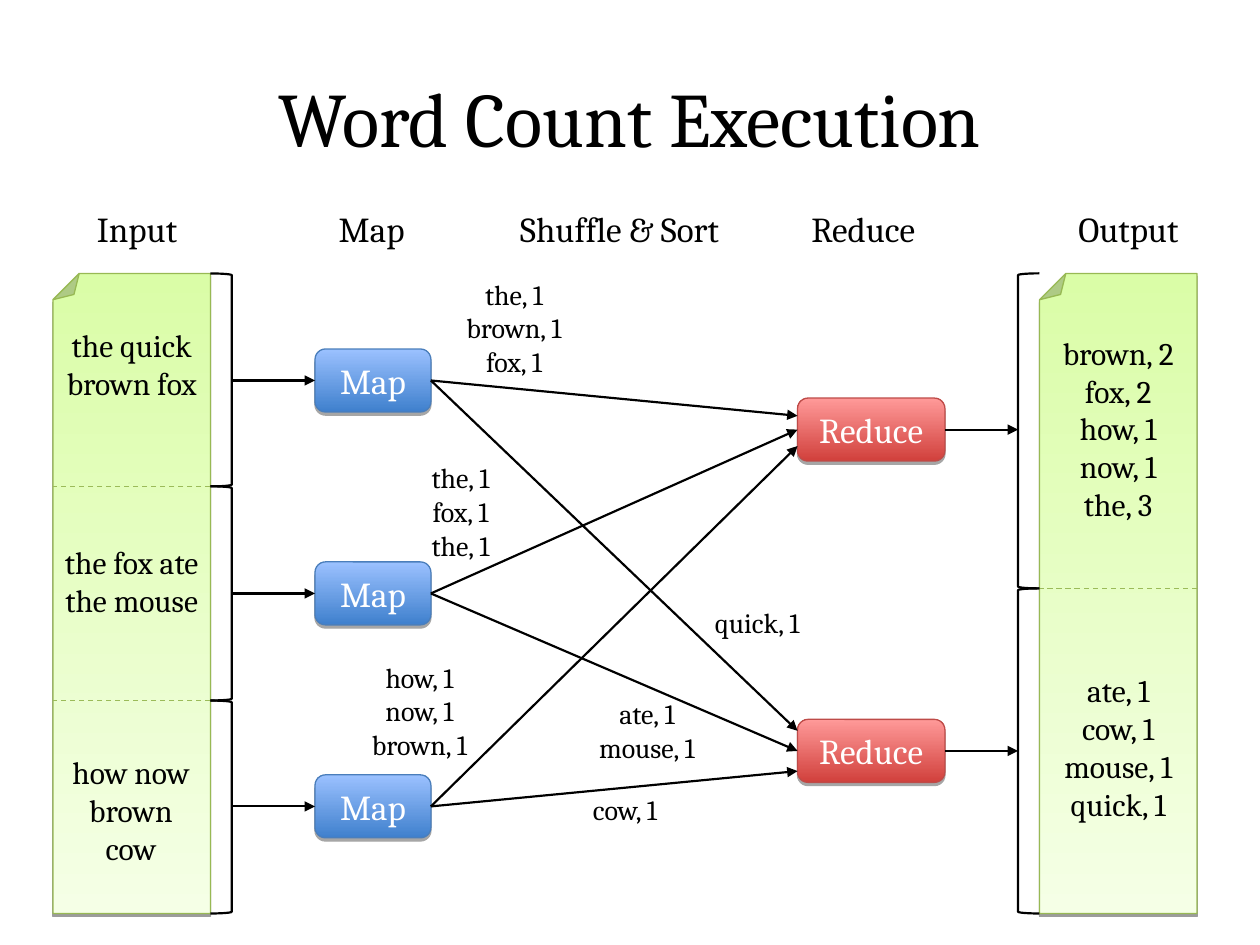
from dataclasses import dataclass
from itertools import pairwise

from lxml import etree
from pptx import Presentation
from pptx.dml.color import RGBColor
from pptx.enum import dml, shapes, text
from pptx.oxml import ns
from pptx.util import Inches, Pt

HUES = {
    "ink": "000000", "white": "FFFFFF", "dash": "9BBB59",
    "page_a": "DAFDA7", "page_b": "F5FFE6", "page_rim": "98B954",
    "map_a": "3F80CD", "map_b": "9BC1FF", "map_rim": "4A7EBB",
    "red_a": "D1403C", "red_b": "FF9A99", "red_rim": "BE4B48",
}
FONT = "Cambria"
KIND = shapes.MSO_SHAPE
TOP, END = 2.17, 7.25
PAGE, GAP = 1.25, 0.17


@dataclass
class Note:
    words: str
    x: float
    y: float
    w: float
    h: float


@dataclass
class Node:
    name: str
    hue: str
    x: float
    y: float
    w: float
    h: float = 0.5

    @property
    def mid(self) -> float:
        return self.y + self.h / 2

    @property
    def right(self) -> float:
        return self.x + self.w


@dataclass
class Sheet:
    x: float
    cuts: list[float]
    side: object
    edge: float


INPUT = Sheet(0.42, [TOP, 3.86, 5.56, END], KIND.RIGHT_BRACKET, 1.67)
OUTPUT = Sheet(8.25, [TOP, 4.67, END], KIND.LEFT_BRACKET, 8.08)
MAPS = [Node("Map", "map", 2.5, 2.77 + 1.69 * i, 0.92) for i in range(3)]
REDS = [Node("Reduce", "red", 6.33, y, 1.17) for y in (3.16, 5.71)]
FLOWS = [(0, 3.3), (0, 5.8), (2, 3.54), (1, 5.96), (1, 3.41), (2, 6.12)]

HEADS = [
    Note("Input", 0.67, 1.6, 0.88, 0.44),
    Note("Map", 2.59, 1.6, 0.77, 0.44),
    Note("Shuffle & Sort", 4.03, 1.6, 1.91, 0.44),
    Note("Reduce", 6.34, 1.6, 1.11, 0.44),
    Note("Output", 8.46, 1.6, 1.1, 0.44),
]
BODIES = [
    Note("the quick\nbrown fox", 0.42, 2.54, 1.25, 1),
    Note("the fox ate the mouse", 0.39, 4.26, 1.31, 1),
    Note("how now\nbrown cow", 0.41, 5.93, 1.26, 1),
    Note("brown, 2\nfox, 2\nhow, 1\nnow, 1\nthe, 3", 8.25, 2.6, 1.25, 1.6),
    Note("ate, 1\ncow, 1\nmouse, 1\nquick, 1", 8.25, 5.28, 1.25, 1.3),
]
PAIRS = [
    Note("the, 1\nbrown, 1\nfox, 1", 3.55, 2.15, 1.06, 0.9),
    Note("quick, 1", 5.53, 4.76, 0.96, 0.37),
    Note("the, 1\nfox, 1\nthe, 1", 3.29, 3.61, 0.73, 0.9),
    Note("how, 1\nnow, 1\nbrown, 1", 2.8, 5.19, 1.06, 0.9),
    Note("ate, 1\nmouse, 1", 4.6, 5.48, 1.07, 0.64),
    Note("cow, 1", 4.55, 6.24, 0.82, 0.37),
]


def tint(name: str) -> RGBColor:
    return RGBColor.from_string(HUES[name])


def write(frame, words: str, *, size: int, hue: str = "ink", wrap: bool = True,
          align=text.PP_ALIGN.CENTER, anchor=text.MSO_ANCHOR.TOP,
          fit=text.MSO_AUTO_SIZE.NONE) -> None:
    frame.text = words
    frame.word_wrap = wrap
    frame.auto_size = fit
    frame.vertical_anchor = anchor
    for para in frame.paragraphs:
        para.alignment = align
        for run in para.runs:
            run.font.name = FONT
            run.font.size = Pt(size)
            run.font.color.rgb = tint(hue)


def label(tree, note: Note, **form) -> None:
    box = tree.add_textbox(*map(Inches, (note.x, note.y, note.w, note.h)))
    write(box.text_frame, note.words, **form)


def block(tree, kind, hue: str, x: float, y: float, w: float, h: float,
          alpha: int, drop: float):
    item = tree.add_shape(kind, *map(Inches, (x, y, w, h)))
    item.fill.gradient()
    item.fill.gradient_angle = 90
    for place, (stop, part) in enumerate(zip(item.fill.gradient_stops, "ab")):
        stop.color.rgb = tint(f"{hue}_{part}")
        stop.position = place
    item.line.color.rgb = tint(f"{hue}_rim")
    item.line.width = Pt(0.75)
    item.shadow.inherit = False
    glow = item._element.spPr.find(ns.qn("a:effectLst"))
    cast = etree.SubElement(glow, ns.qn("a:outerShdw"), blurRad="0",
                            dist=str(Pt(drop)), dir="5400000", rotWithShape="0")
    ink = etree.SubElement(cast, ns.qn("a:srgbClr"), val=HUES["ink"])
    etree.SubElement(ink, ns.qn("a:alpha"), val=str(alpha * 1000))
    return item


def link(tree, x: float, y: float, to_x: float, to_y: float, *,
         hue: str = "ink", width: float = 1.25, dash: bool = False) -> None:
    wire = tree.add_connector(shapes.MSO_CONNECTOR.STRAIGHT,
                              *map(Inches, (x, y, to_x, to_y)))
    wire.line.color.rgb = tint(hue)
    wire.line.width = Pt(width)
    if dash:
        wire.line.dash_style = dml.MSO_LINE.DASH
    else:
        line = wire._element.spPr.find(ns.qn("a:ln"))
        etree.SubElement(line, ns.qn("a:tailEnd"), type="triangle")
    etree.SubElement(wire._element.spPr, ns.qn("a:effectLst"))


def brace(tree, sheet: Sheet, y: float, end: float) -> None:
    item = tree.add_shape(sheet.side, *map(Inches, (sheet.edge, y, GAP, end - y)))
    item.fill.background()
    item.line.color.rgb = tint("ink")
    item.line.width = Pt(1.25)
    item.shadow.inherit = False


def paper(tree, sheet: Sheet) -> None:
    item = block(tree, KIND.FOLDED_CORNER, "page", sheet.x, TOP, PAGE, END - TOP,
                 38, 1.6)
    item.rotation = 180
    for y, end in pairwise(sheet.cuts):
        brace(tree, sheet, y, end)
    for y in sheet.cuts[1:-1]:
        link(tree, sheet.x + PAGE, y, sheet.x, y, hue="dash", width=0.75, dash=True)


def station(tree, node: Node) -> None:
    item = block(tree, KIND.ROUNDED_RECTANGLE, node.hue, node.x, node.y,
                 node.w, node.h, 35, 1.8)
    write(item.text_frame, node.name, size=20, hue="white",
          anchor=text.MSO_ANCHOR.MIDDLE)


def main() -> None:
    deck = Presentation()
    deck.slide_width, deck.slide_height = Inches(10), Inches(7.5)
    tree = deck.slides.add_slide(deck.slide_layouts[6]).shapes
    grow = text.MSO_AUTO_SIZE.SHAPE_TO_FIT_TEXT

    label(tree, Note("Word Count Execution", 0.5, 0.3, 9, 1.25), size=44,
          anchor=text.MSO_ANCHOR.MIDDLE)
    for sheet in (INPUT, OUTPUT):
        paper(tree, sheet)
    for node in MAPS + REDS:
        station(tree, node)
    for node in MAPS:
        link(tree, INPUT.edge + GAP, node.mid, node.x, node.mid)
    for start, y in FLOWS:
        link(tree, MAPS[start].right, MAPS[start].mid, REDS[0].x, y)
    for node in REDS:
        link(tree, node.right, node.mid, OUTPUT.edge, node.mid)
    for note in BODIES:
        label(tree, note, size=18, fit=grow)
    for note in PAIRS:
        label(tree, note, size=16, wrap=False, fit=grow)
    for note in HEADS:
        label(tree, note, size=20, wrap=False, fit=grow, align=text.PP_ALIGN.LEFT)
    deck.save("out.pptx")


if __name__ == "__main__":
    main()
